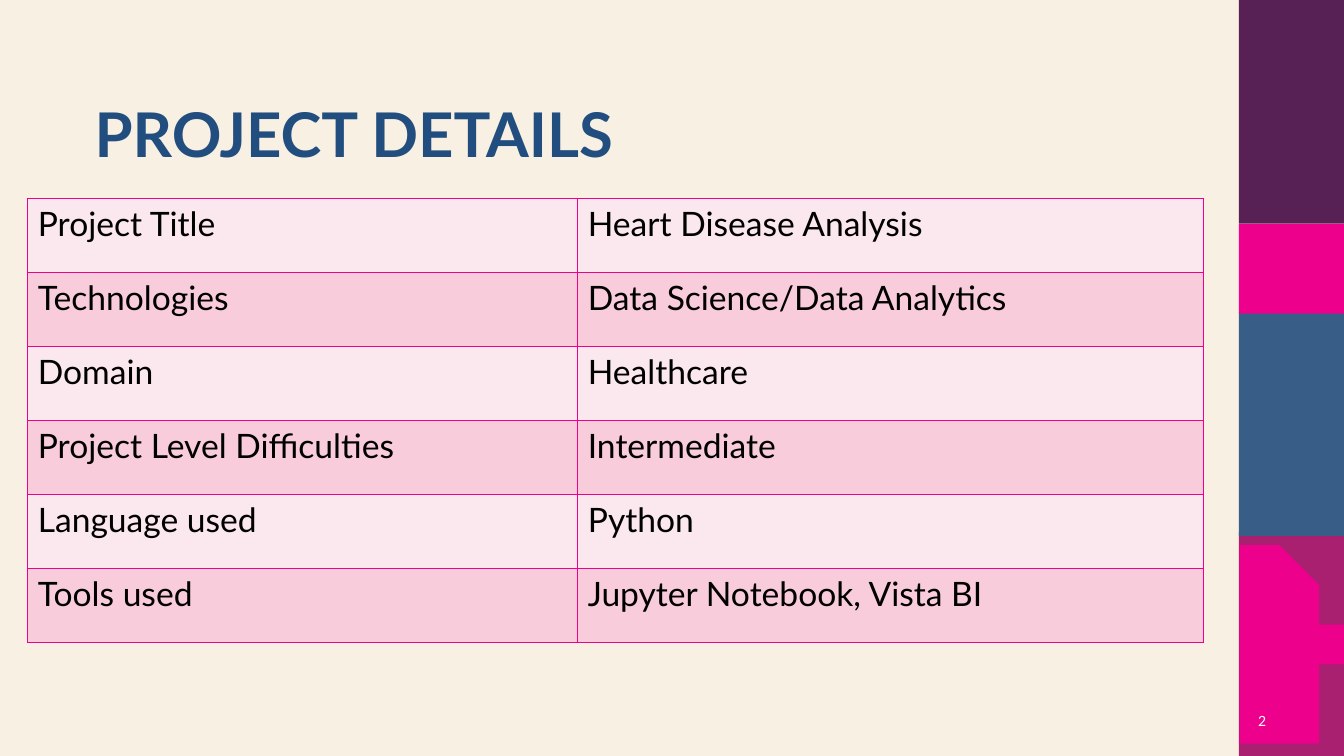
import math
from lxml import etree
from pptx import Presentation
from pptx import util as u
from pptx.dml.color import RGBColor
from pptx.enum import shapes, text
from pptx.oxml.ns import qn

CREAM = RGBColor(0xF8, 0xF0, 0xE3)
PURPLE = RGBColor(0x58, 0x21, 0x56)
PINK = RGBColor(0xEC, 0x00, 0x8C)
BLUE = RGBColor(0x38, 0x5E, 0x88)
MAGENTA = RGBColor(0xAA, 0x20, 0x70)
NAVY = RGBColor(0x22, 0x4E, 0x7F)
LIGHT_ROW = RGBColor(0xFB, 0xE7, 0xEE)
DARK_ROW = RGBColor(0xF8, 0xCC, 0xDA)
BLACK = RGBColor(0, 0, 0)
WHITE = RGBColor(0xFF, 0xFF, 0xFF)

WIDTH, HEIGHT = 33.87, 19.05
DETAILS = [
    ("Project Title", "Heart Disease Analysis"),
    ("Technologies", "Data Science/Data Analytics"),
    ("Domain", "Healthcare"),
    ("Project Level Difficulties", "Intermediate"),
    ("Language used", "Python"),
    ("Tools used", "Jupyter Notebook, Vista BI"),
]


def write(tf, words, align=text.PP_ALIGN.LEFT, **font):
    tf.text = words
    p = tf.paragraphs[0]
    p.alignment = align
    for name, value in {"name": "Lato", "bold": False, **font}.items():
        if name == "color":
            p.runs[0].font.color.rgb = value
        else:
            setattr(p.runs[0].font, name, value)
    return p


def paint(sp, color):
    sp.shadow.inherit = False
    sp.fill.solid()
    sp.fill.fore_color.rgb = color
    sp.line.fill.background()


def add_half_disc(s, left, top, radius, color):
    """Draw the right half of a disc, flat side at left."""
    steps = 60
    arc = [(radius * math.sin(math.pi * i / steps),
            radius * (1 - math.cos(math.pi * i / steps)))
           for i in range(steps + 1)]
    builder = s.shapes.build_freeform(0, 0, scale=u.Cm(1))
    builder.add_line_segments(arc[1:], close=True)
    paint(builder.convert_to_shape(u.Cm(left), u.Cm(top)), color)


def add_side_band(s, left, top, width, height):
    bands = [(0.704, 0.296, MAGENTA), (0.413, 0.296, BLUE),
             (0, 0.296, PURPLE), (0.296, 0.119, PINK)]
    for start, share, color in bands:
        sp = s.shapes.add_shape(
            shapes.MSO_SHAPE.RECTANGLE, u.Cm(left), u.Cm(top + start * height),
            u.Cm(width), u.Cm(share * height))
        paint(sp, color)
    radius = 2.54
    add_half_disc(s, left + 0.02, top + height - 2 * radius - 0.23, radius, PINK)
    number = s.shapes.add_textbox(
        u.Cm(left - 0.33), u.Cm(top + height - 1.4), u.Cm(1.27), u.Cm(1.02))
    tf = number.text_frame
    tf.word_wrap = True
    tf.vertical_anchor = text.MSO_ANCHOR.MIDDLE
    write(tf, "2", text.PP_ALIGN.RIGHT, size=u.Pt(10), color=WHITE)


def add_title(s, left, top, width, height):
    title = s.shapes.title
    box = {"left": left, "top": top, "width": width, "height": height}
    for name, value in box.items():
        setattr(title, name, u.Cm(value))
    tf = title.text_frame
    tf.vertical_anchor = text.MSO_ANCHOR.TOP
    tf.auto_size = text.MSO_AUTO_SIZE.NONE
    p = write(tf, "PROJECT DETAILS", size=u.Pt(44), bold=True, color=NAVY)
    p.line_spacing = 0.9


def add_borders(cell, color):
    tc_pr = cell._tc.get_or_add_tcPr()
    for side in ("lnL", "lnR", "lnT", "lnB"):
        ln = etree.SubElement(tc_pr, qn(f"a:{side}"), w=str(u.Pt(1)))
        fill = etree.SubElement(ln, qn("a:solidFill"))
        etree.SubElement(fill, qn("a:srgbClr"), val=str(color))


def add_details_table(s, left, top, width, height):
    table = s.shapes.add_table(
        len(DETAILS), 2, u.Cm(left), u.Cm(top), u.Cm(width), u.Cm(height)).table
    table.first_row = table.horz_banding = False
    label_width = 13.86
    table.columns[0].width = u.Cm(label_width)
    table.columns[1].width = u.Cm(width - label_width)
    for i, row in enumerate(DETAILS):
        for j, words in enumerate(row):
            cell = table.cell(i, j)
            add_borders(cell, PINK)
            cell.fill.solid()
            cell.fill.fore_color.rgb = DARK_ROW if i % 2 else LIGHT_ROW
            write(cell.text_frame, words, size=u.Pt(24), color=BLACK)


def main():
    prs = Presentation()
    prs.slide_width, prs.slide_height = u.Cm(WIDTH), u.Cm(HEIGHT)
    s = prs.slides.add_slide(prs.slide_layouts[5])
    s.background.fill.solid()
    s.background.fill.fore_color.rgb = CREAM
    band_left = 31.22
    add_side_band(s, band_left, 0, WIDTH - band_left, HEIGHT)
    add_title(s, 2.13, 2.49, 26.09, 3.78)
    add_details_table(s, 0.7, 5, 29.63, 11.19)
    prs.save("out.pptx")


if __name__ == "__main__":
    main()
